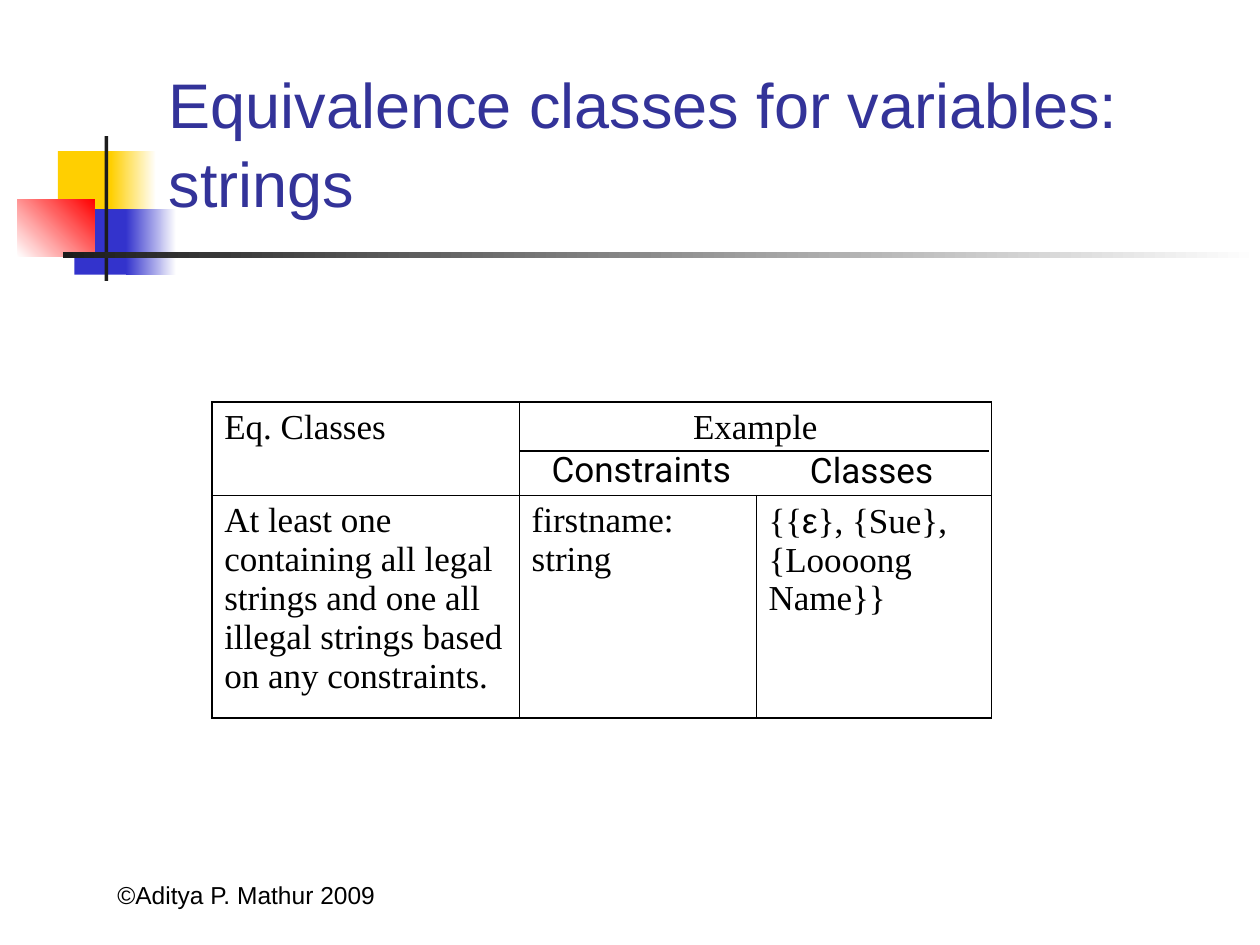
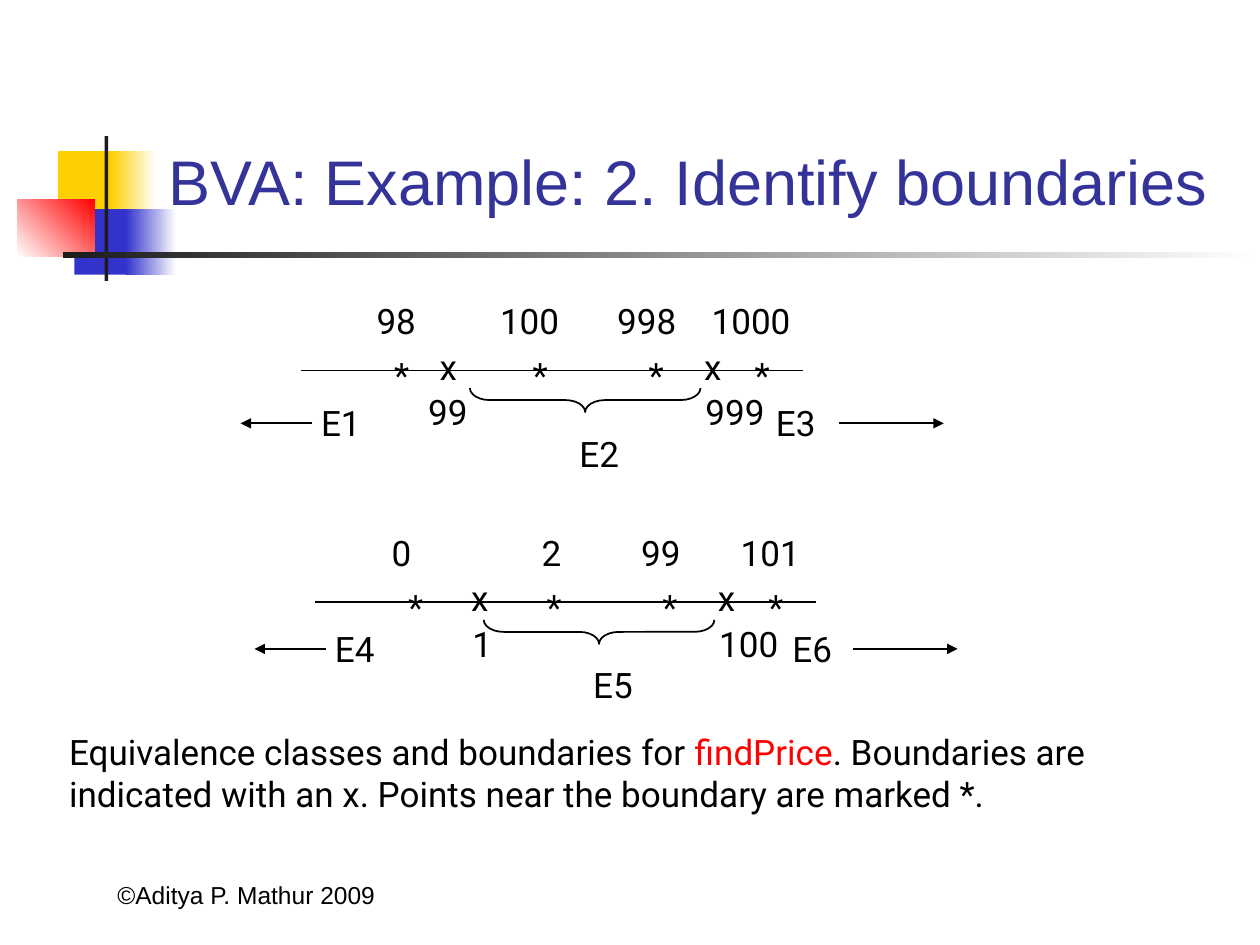
from dataclasses import dataclass

from lxml import etree
from pptx import Presentation
from pptx.dml.color import RGBColor
from pptx.enum.shapes import MSO_CONNECTOR, MSO_SHAPE
from pptx.enum.text import MSO_ANCHOR, MSO_AUTO_SIZE, PP_ALIGN
from pptx.oxml.ns import qn
from pptx.util import Inches, Pt

RECTANGLE = MSO_SHAPE.RECTANGLE
BRACE = MSO_SHAPE.LEFT_BRACE
STRAIGHT = MSO_CONNECTOR.STRAIGHT
LEFT, CENTER = PP_ALIGN.LEFT, PP_ALIGN.CENTER
TOP, BOTTOM = MSO_ANCHOR.TOP, MSO_ANCHOR.BOTTOM
FIT_SHAPE, NO_FIT = MSO_AUTO_SIZE.SHAPE_TO_FIT_TEXT, MSO_AUTO_SIZE.NONE
TITLE_ONLY = 5


@dataclass(frozen=True)
class Theme:
    black: str = "000000"
    white: str = "FFFFFF"
    title: str = "333399"
    yellow: str = "FFCF01"
    blue: str = "3333CC"
    red: str = "FF0000"
    charcoal: str = "1C1C1C"
    title_font: str = "Arial"
    body_font: str = "Roboto"
    table_font: str = "Times New Roman"
    title_size: int = 36
    body_size: int = 20
    footer_size: int = 14
    line_width: float = 1
    table_outer: float = 1.08
    table_inner: float = 0.45
    text_height: float = 0.44


THEME = Theme()


def color(value):
    return RGBColor.from_string(value)


class Deck:
    """Holds the theme, the presentation and the slide being built."""

    def __init__(self, theme):
        self.theme = theme
        self.presentation = Presentation()
        self.presentation.slide_width = Inches(10)
        self.presentation.slide_height = Inches(7.5)
        self.layout = self.presentation.slide_layouts[TITLE_ONLY]
        self.slide = None
        self.shapes = None

    # Slides and shared parts
    def new_slide(self, title, top):
        first = self.slide is None
        self.slide = self.presentation.slides.add_slide(self.layout)
        self.shapes = self.slide.shapes
        if first:
            self.decorate_layout()
        placeholder = self.slide.shapes.title
        self.place(placeholder, 1.24, top, 8.52, 0.71)
        frame = placeholder.text_frame
        frame.word_wrap = True
        frame.auto_size = NO_FIT
        frame.vertical_anchor = BOTTOM
        paragraph = frame.paragraphs[0]
        paragraph.alignment = LEFT
        paragraph.line_spacing = 1.05
        self.run(paragraph, title, self.theme.title_font,
                 self.theme.title_size, self.theme.title)

    def decorate_layout(self):
        """Draws the squares, bars and footer once and hands them to the layout."""
        theme = self.theme
        parts = [
            self.block(0.46, 1.2, 0.48, 0.52, theme.yellow),
            self.block(0.88, 1.2, 0.36, 0.52, theme.yellow, theme.white),
            self.block(0.59, 1.66, 0.46, 0.52, theme.blue),
            self.block(1, 1.66, 0.4, 0.52, theme.blue, theme.white),
            self.block(0.14, 1.58, 0.61, 0.46, theme.white, theme.red, 45),
            self.block(0.83, 1.08, 0.03, 1.15, theme.charcoal),
            self.block(0.5, 2, 9.5, 0.05, theme.charcoal, theme.white),
            self.footer("©Aditya P. Mathur 2009"),
        ]
        for part in parts:
            self.layout.shapes._spTree.append(part._element)

    def footer(self, text):
        box = self.text(0.37, 6.77, 3.17, [(text, {
            "font": self.theme.title_font, "size": self.theme.footer_size})],
            height=0.5, wrap=True, fit=NO_FIT)
        box.text_frame.vertical_anchor = BOTTOM
        box.text_frame.paragraphs[0].alignment = CENTER
        return box

    # Basic elements
    @staticmethod
    def place(shape, left, top, width, height):
        shape.left, shape.top = Inches(left), Inches(top)
        shape.width, shape.height = Inches(width), Inches(height)

    def run(self, paragraph, text, font=None, size=None, ink=None):
        run = paragraph.add_run()
        run.text = text
        run.font.name = font or self.theme.body_font
        run.font.size = Pt(size or self.theme.body_size)
        run.font.bold = False
        run.font.color.rgb = color(ink or self.theme.black)

    def block(self, left, top, width, height, start, end=None, angle=0):
        shape = self.shapes.add_shape(RECTANGLE, Inches(left), Inches(top),
                                      Inches(width), Inches(height))
        shape.shadow.inherit = False
        shape.line.fill.background()
        if end is None:
            shape.fill.solid()
            shape.fill.fore_color.rgb = color(start)
        else:
            shape.fill.gradient()
            shape.fill.gradient_angle = angle
            for stop, value in zip(shape.fill.gradient_stops, (start, end)):
                stop.color.rgb = color(value)
        return shape

    def text(self, left, top, width, runs, height=None, wrap=False, fit=FIT_SHAPE):
        box = self.shapes.add_textbox(Inches(left), Inches(top), Inches(width),
                                      Inches(height or self.theme.text_height))
        frame = box.text_frame
        frame.word_wrap = wrap
        frame.auto_size = fit
        for content, style in runs:
            self.run(frame.paragraphs[0], content, **style)
        return box

    def label(self, left, top, content):
        """A short one-line label, as wide as its characters."""
        self.text(left, top, 0.2 + 0.16 * len(content), [(content, {})])

    def line(self, start, end, arrow=False):
        connector = self.shapes.add_connector(
            STRAIGHT, *(Inches(value) for value in (*start, *end)))
        connector.line.color.rgb = color(self.theme.black)
        connector.line.width = Pt(self.theme.line_width)
        if arrow:
            outline = connector.line._get_or_add_ln()
            etree.SubElement(outline, qn("a:tailEnd"), type="triangle")
        etree.SubElement(connector._element.spPr, qn("a:effectLst"))

    def brace(self, left, top, span, depth):
        """A horizontal brace that points down."""
        shape = self.shapes.add_shape(
            BRACE, Inches(left + (span - depth) / 2), Inches(top + (depth - span) / 2),
            Inches(depth), Inches(span))
        shape.rotation = 270
        shape.adjustments[0] = 0.83
        shape.shadow.inherit = False
        shape.fill.background()
        shape.line.color.rgb = color(self.theme.black)
        shape.line.width = Pt(self.theme.line_width)

    # Table
    def cell_border(self, cell, widths):
        properties = cell._tc.get_or_add_tcPr()
        for index, (side, width) in enumerate(zip("LRTB", widths)):
            border = etree.Element(qn(f"a:ln{side}"), w=str(Pt(width)))
            fill = etree.SubElement(border, qn("a:solidFill"))
            etree.SubElement(fill, qn("a:srgbClr"), val=self.theme.black)
            properties.insert(index, border)

    def table(self, left, top, columns, heights, rows, spans):
        """Rows hold lists of (text, font) runs; spans maps a cell to its columns."""
        frame = self.shapes.add_table(
            len(rows), len(columns), Inches(left), Inches(top),
            Inches(sum(columns)), Inches(sum(heights)))
        table = frame.table
        table.first_row = table.horz_banding = False
        for column, width in zip(table.columns, columns):
            column.width = Inches(width)
        for row, height in zip(table.rows, heights):
            row.height = Inches(height)
        for (row, column), count in spans.items():
            table.cell(row, column).merge(table.cell(row, column + count - 1))
        last_row, last_column = len(rows) - 1, len(columns) - 1
        for r, row in enumerate(rows):
            for c, runs in enumerate(row):
                cell = table.cell(r, c)
                cell.fill.background()
                cell.vertical_anchor = TOP
                right = c + spans.get((r, c), 1) - 1
                edges = (c == 0, right == last_column, r == 0, r == last_row)
                self.cell_border(cell, [
                    self.theme.table_outer if edge else self.theme.table_inner
                    for edge in edges])
                paragraph = cell.text_frame.paragraphs[0]
                paragraph.alignment = CENTER if (r, c) in spans else LEFT
                for content, font in runs:
                    self.run(paragraph, content, font)

    # Number line with its equivalence classes
    def number_line(self, left, top, classes, neighbors, boundaries, crosses,
                    outer_drop, outer_right):
        """All offsets are measured from the left end of the line."""
        slide_shapes = self.shapes
        self.shapes = slide_shapes.add_group_shape().shapes
        self.line((left, top), (left + 3.98, top))
        for content, offset in neighbors:
            self.label(left + offset, top - 0.61, content)
        for content, offset in boundaries:
            self.label(left + offset, top + 0.11, content)
        for offset in crosses:
            self.label(left + offset, top - 0.25, "x")
        for offset in (0.64, 1.74, 2.66, 3.5):
            self.text(left + offset, top - 0.18, 0.2, [("*", {})], wrap=True)
        self.brace(left + 1.34, top + 0.14, 1.83, 0.19)
        # Classes below, between and above the boundaries
        lower, middle, upper = classes
        outer_top = top + outer_drop
        self.label(left + 0.06, outer_top, lower)
        self.label(left + 2.11, top + 0.44, middle)
        self.label(left + outer_right, outer_top, upper)
        arrow_top = outer_top + 0.22
        self.line((left + 0.09, arrow_top), (left - 0.48, arrow_top), arrow=True)
        self.line((left + 4.27, arrow_top), (left + 5.1, arrow_top), arrow=True)
        self.shapes = slide_shapes


def build_strings_slide(deck):
    deck.new_slide("Equivalence classes for variables: strings", 1.09)
    serif = deck.theme.table_font
    rows = [
        [[("Eq. Classes", serif)], [("Example", serif)], []],
        [[("At least one containing all legal strings and one all illegal "
           "strings based on any constraints.", serif)],
         [("firstname: string", serif)],
         [("{{", serif), ("ε", deck.theme.title_font),
          ("}, {Sue}, {Loooong Name}}", serif)]],
    ]
    deck.table(1.68, 3.19, [2.44, 1.88, 1.87], [0.74, 1.77], rows, {(0, 1): 2})
    # Second header level
    deck.line((4.13, 3.58), (7.85, 3.58))
    deck.text(4.28, 3.5, 1.7, [("Constraints", {})])
    deck.text(6.33, 3.51, 1.82, [("Classes", {})], wrap=True)


def build_boundaries_slide(deck):
    deck.new_slide("BVA: Example: 2. Identify boundaries", 1.07)
    deck.text(0.45, 5.75, 8.27, [
        ("Equivalence classes and boundaries for ", {}),
        ("findPrice", {"ink": deck.theme.red}),
        (". Boundaries are indicated with an x. Points near the boundary "
         "are marked *.", {}),
    ], height=1.1, wrap=True)
    deck.number_line(
        2.39, 2.94, ("E1", "E2", "E3"),
        neighbors=[("98", 0.5), ("100", 1.48), ("998", 2.41), ("1000", 3.16)],
        boundaries=[("99", 0.91), ("999", 3.11)],
        crosses=(1, 3.1), outer_drop=0.2, outer_right=3.67)
    deck.number_line(
        2.5, 4.78, ("E4", "E5", "E6"),
        neighbors=[("0", 0.51), ("2", 1.7), ("99", 2.49), ("101", 3.28)],
        boundaries=[("1", 1.15), ("100", 3.11)],
        crosses=(1.14, 3.1), outer_drop=0.15, outer_right=3.69)


def main():
    deck = Deck(THEME)
    build_strings_slide(deck)
    build_boundaries_slide(deck)
    deck.presentation.save("out.pptx")


if __name__ == "__main__":
    main()
